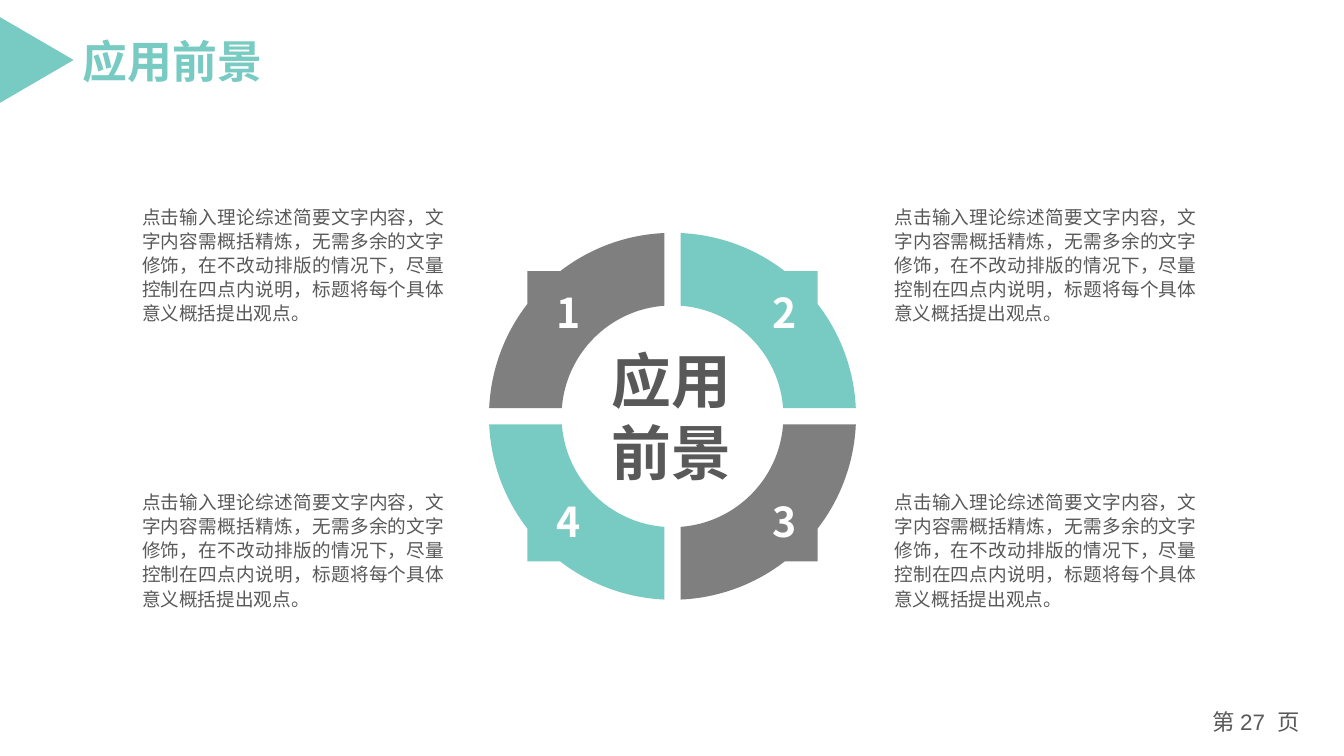
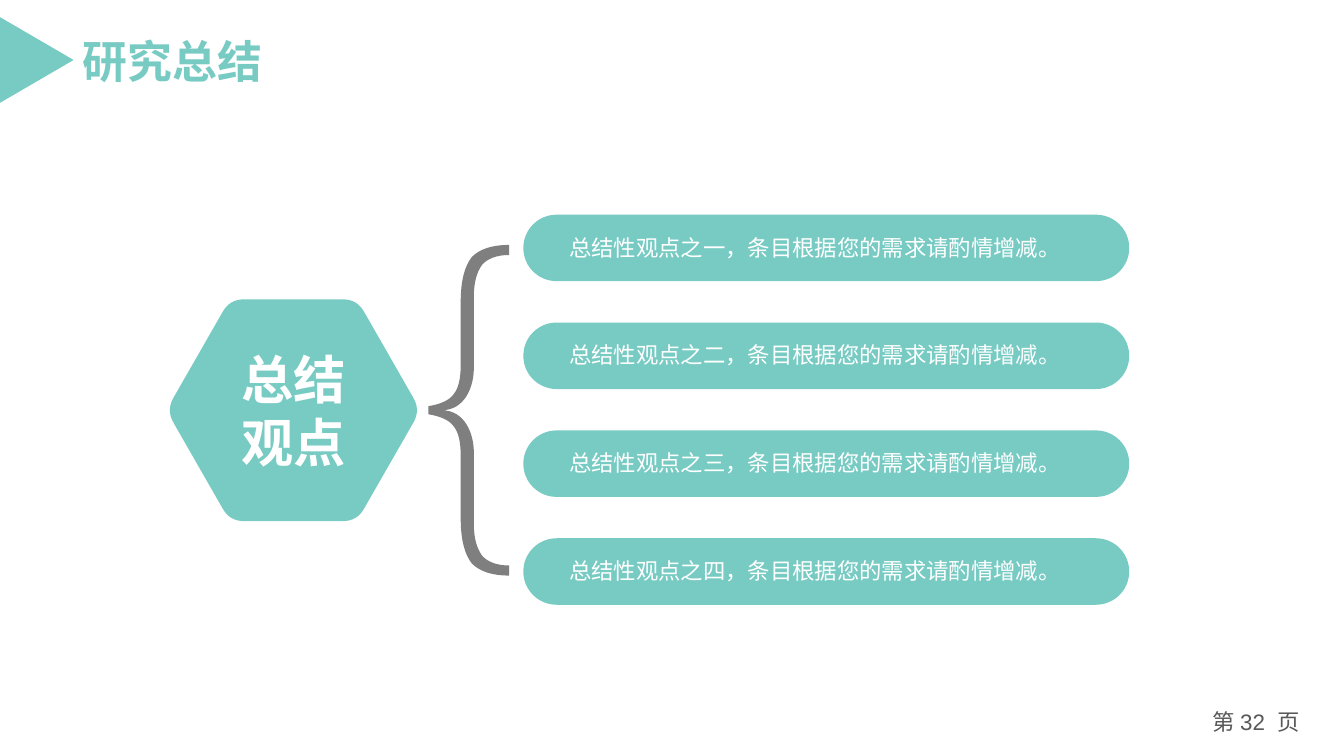
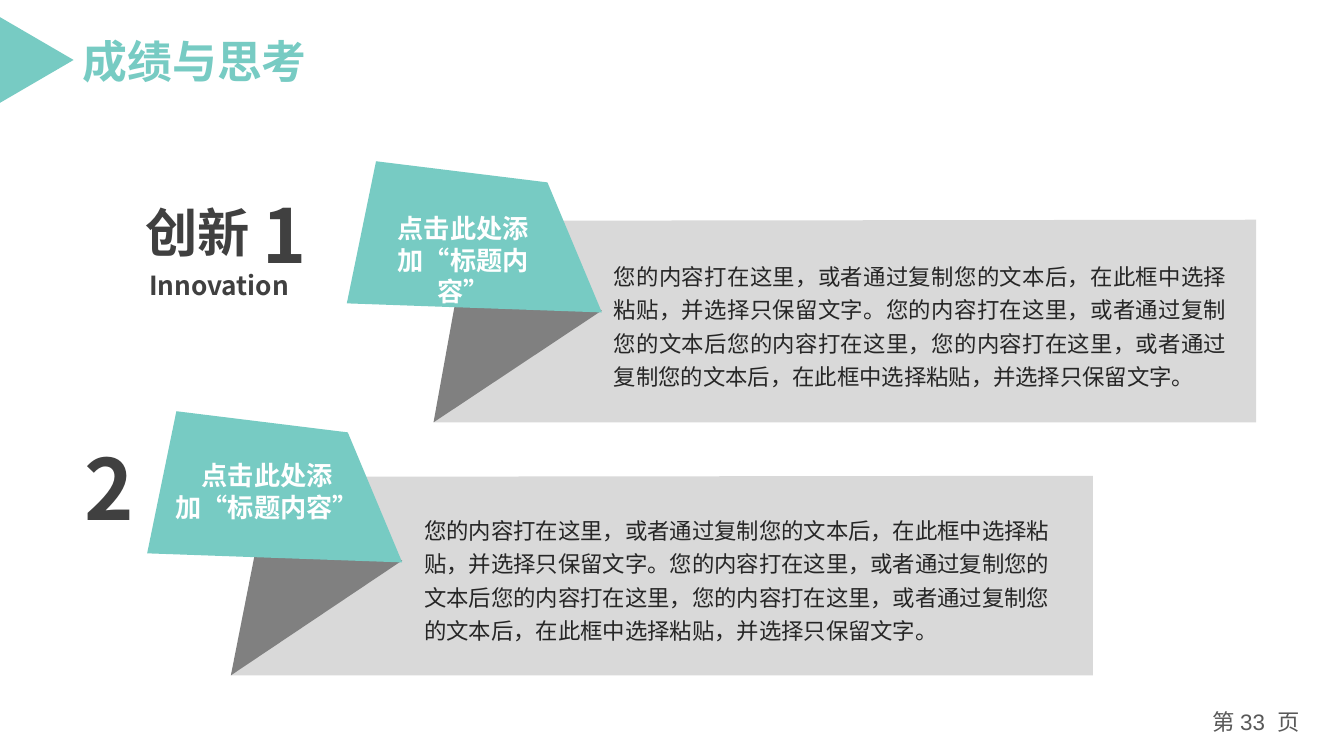
from math import atan2, hypot, sqrt, tan

from lxml.etree import SubElement
from pptx import Presentation
from pptx.dml.color import RGBColor
from pptx.enum.shapes import MSO_SHAPE
from pptx.enum.text import MSO_ANCHOR, MSO_AUTO_SIZE, PP_ALIGN
from pptx.oxml.ns import qn
from pptx.util import Inches, Pt

TEAL = RGBColor(0x77, 0xCB, 0xC3)
GRAY = RGBColor(0x7F, 0x7F, 0x7F)
FOLD_GRAY = RGBColor(0x80, 0x80, 0x80)
PANEL_GRAY = RGBColor(0xD9, 0xD9, 0xD9)
TEXT_GRAY = RGBColor(0x59, 0x59, 0x59)
LABEL_GRAY = RGBColor(0x40, 0x40, 0x40)
BODY_DARK = RGBColor(0x26, 0x26, 0x26)
WHITE = RGBColor(0xFF, 0xFF, 0xFF)
CHINESE_FONT = "Noto Sans CJK SC"
LATIN_FONT = "Arial"
TITLE_ONLY_LAYOUT = 5

VIEWPOINT = (
    "点击输入理论综述简要文字内容，文字内容需概括精炼，无需多余的文字修饰，"
    "在不改动排版的情况下，尽量控制在四点内说明，标题将每个具体意义概括提出观点。"
)
RIBBON_HEADING = "点击此处添加“标题内容”"
RIBBON_BODY = (
    "您的内容打在这里，或者通过复制您的文本后，在此框中选择粘贴，并选择只保留文字。"
    "您的内容打在这里，或者通过复制您的文本后您的内容打在这里，您的内容打在这里，"
    "或者通过复制您的文本后，在此框中选择粘贴，并选择只保留文字。"
)
# Upper half of the brace, from its tip outwards and back to the middle.
# A segment of one point is a line, a segment of three points is a Bézier curve.
BRACE_HALF = [
    [(0, 1.6)],
    [(0.12, 1.58), (0.21, 1.54), (0.25, 1.48)],
    [(0.3, 1.42), (0.32, 1.32), (0.32, 1.19)],
    [(0.32, 0.57)],
    [(0.32, 0.35), (0.36, 0.21), (0.43, 0.12)],
    [(0.51, 0.04), (0.63, 0), (0.8, 0)],
    [(0.8, 0.1)],
    [(0.67, 0.1), (0.58, 0.14), (0.53, 0.2)],
    [(0.48, 0.27), (0.45, 0.37), (0.45, 0.51)],
    [(0.45, 1.22)],
    [(0.45, 1.41), (0.36, 1.64), (0.13, 1.64)],
]


def style_run(run, size, color, bold=False, font=CHINESE_FONT):
    run.font.size = Pt(size)
    run.font.bold = bold
    run.font.color.rgb = color
    run.font.name = font
    east_asian = SubElement(run.font._element, qn("a:ea"))
    east_asian.set("typeface", CHINESE_FONT)


def fill_text(shape, text, size, color, bold=False, font=CHINESE_FONT,
              align=PP_ALIGN.LEFT, spacing=None, margins=None, wrap=True,
              anchor=MSO_ANCHOR.TOP):
    """Write one paragraph; margins are left, top, right and bottom in inches."""
    frame = shape.text_frame
    frame.text = text
    frame.word_wrap = wrap
    frame.auto_size = MSO_AUTO_SIZE.NONE
    frame.vertical_anchor = anchor
    if margins:
        (frame.margin_left, frame.margin_top,
         frame.margin_right, frame.margin_bottom) = map(Inches, margins)
    paragraph = frame.paragraphs[0]
    paragraph.alignment = align
    if spacing:
        paragraph.line_spacing = spacing
    for run in paragraph.runs:
        style_run(run, size, color, bold, font)


def add_text(slide, box, text, size, color, **options):
    shape = slide.shapes.add_textbox(*map(Inches, box))
    fill_text(shape, text, size, color, **options)


def paint(shape, color):
    shape.shadow.inherit = False
    shape.fill.solid()
    shape.fill.fore_color.rgb = color
    shape.line.fill.background()
    return shape


def add_outline(slide, left, top, segments, color):
    """Draw a closed outline of lines and curves relative to left and top."""
    points = [(Inches(left + x), Inches(top + y)) for segment in segments for x, y in segment]
    builder = slide.shapes.build_freeform(*points[0])
    builder.add_line_segments(points[1:], close=True)
    shape = builder.convert_to_shape()
    lines = iter(list(shape._element.iter(qn("a:lnTo"))))
    for segment in segments[1:]:
        curve, *extra_lines = [next(lines) for _ in segment]
        for line in extra_lines:
            curve.append(line[0])
            line.getparent().remove(line)
        if extra_lines:
            curve.tag = qn("a:cubicBezTo")
    return paint(shape, color)


def line_segments(*points):
    return [[point] for point in points]


def arc(start, end):
    """Curve segment on the circle around the origin that runs from start to end."""
    sweep = atan2(end[1], end[0]) - atan2(start[1], start[0])
    reach = 4 / 3 * tan(sweep / 4)
    return [(start[0] - reach * start[1], start[1] + reach * start[0]),
            (end[0] + reach * end[1], end[1] - reach * end[0]), end]


def rounded_polygon(corners, cut):
    segments = []
    for index, (x, y) in enumerate(corners):
        offsets = []
        for neighbour in (corners[index - 1], corners[(index + 1) % len(corners)]):
            dx, dy = neighbour[0] - x, neighbour[1] - y
            ratio = cut / hypot(dx, dy)
            offsets.append((dx * ratio, dy * ratio))
        (in_x, in_y), (out_x, out_y) = offsets
        segments += [[(x + in_x, y + in_y)],
                     [(x + in_x / 3, y + in_y / 3), (x + out_x / 3, y + out_y / 3),
                      (x + out_x, y + out_y)]]
    return segments


def start_slide(presentation, title, page):
    """Add a slide with its title, corner triangle and page number."""
    slide = presentation.slides.add_slide(presentation.slide_layouts[TITLE_ONLY_LAYOUT])
    heading = slide.shapes.title
    heading.left, heading.top = Inches(0.69), Inches(0.26)
    heading.width, heading.height = Inches(0.28 + 0.45 * len(title)), Inches(0.67)
    fill_text(heading, title, 32, TEAL, bold=True, font=LATIN_FONT, wrap=False,
              margins=(0.13, 0.07, 0.13, 0.07))

    triangle = slide.shapes.add_shape(
        MSO_SHAPE.ISOSCELES_TRIANGLE, *map(Inches, (-0.06, 0.23, 0.85, 0.73)))
    triangle.rotation = 90
    paint(triangle, TEAL)

    footer = slide.shapes.add_textbox(*map(Inches, (11.86, 6.98, 1.2, 0.4)))
    footer.text_frame.word_wrap = True
    paragraph = footer.text_frame.paragraphs[0]
    paragraph.alignment = PP_ALIGN.CENTER
    for text, font in (("第 ", CHINESE_FONT), (f"{page}  ", LATIN_FONT), ("页", CHINESE_FONT)):
        run = paragraph.add_run()
        run.text = text
        style_run(run, 16, TEXT_GRAY, font=font)
    return slide


def add_ring(slide, center_x, center_y, label):
    """Draw four numbered ring quarters with square tabs around a label."""
    outer, inner, half_gap, tab = 1.82, 1.1, 0.08, 1.44
    outer_end = sqrt(outer**2 - half_gap**2)
    inner_end = sqrt(inner**2 - half_gap**2)
    tab_start = sqrt(outer**2 - tab**2)
    quarter = [
        [(half_gap, outer_end)], arc((half_gap, outer_end), (tab_start, tab)),
        [(tab, tab)], [(tab, tab_start)], arc((tab, tab_start), (outer_end, half_gap)),
        [(inner_end, half_gap)], arc((inner_end, half_gap), (half_gap, inner_end)),
    ]
    quarters = [("1", -1, -1, GRAY), ("2", 1, -1, TEAL), ("3", 1, 1, GRAY), ("4", -1, 1, TEAL)]
    for number, side_x, side_y, color in quarters:
        segments = [[(x * side_x, y * side_y) for x, y in segment] for segment in quarter]
        add_outline(slide, center_x, center_y, segments, color)
        number_box = (center_x + 1.07 * side_x - 0.08, center_y + 1.04 * side_y - 0.24, 0.21, 0.49)
        add_text(slide, number_box, number, 29.3, WHITE, bold=True,
                 align=PP_ALIGN.CENTER, margins=(0, 0, 0, 0))
    add_text(slide, (center_x - 0.69, center_y - 0.72, 1.36, 1.44), label, 42.7, TEXT_GRAY,
             bold=True, align=PP_ALIGN.CENTER, margins=(0, 0, 0, 0))


def add_hexagon(slide, center_x, center_y, text):
    side, half_height = 1.26, 1.1
    corners = [(-side, 0), (-side / 2, -half_height), (side / 2, -half_height),
               (side, 0), (side / 2, half_height), (-side / 2, half_height)]
    hexagon = add_outline(slide, center_x, center_y, rounded_polygon(corners, 0.14), TEAL)
    fill_text(hexagon, text, 37.3, WHITE, bold=True, align=PP_ALIGN.CENTER,
              margins=(0.56, 0, 0.56, 0), anchor=MSO_ANCHOR.MIDDLE)


def add_brace(slide, left, top):
    """Draw the upper half, then the same segments mirrored and reversed."""
    axis = 1.64
    lower = []
    for previous, segment in reversed(list(zip(BRACE_HALF, BRACE_HALF[1:]))):
        backwards = segment[-2::-1] + previous[-1:]
        lower.append([(x, 2 * axis - y) for x, y in backwards])
    add_outline(slide, left, top, BRACE_HALF + lower, GRAY)


def add_pills(slide, left, top, texts):
    for index, text in enumerate(texts):
        pill = slide.shapes.add_shape(
            MSO_SHAPE.ROUNDED_RECTANGLE,
            *map(Inches, (left, top + 1.07 * index, 6.01, 0.66)))
        pill.adjustments[0] = 0.5
        paint(pill, TEAL)
        fill_text(pill, text, 16, WHITE, align=PP_ALIGN.JUSTIFY, spacing=Pt(17.3),
                  margins=(0.36, 0.01, 0.36, 0), anchor=MSO_ANCHOR.MIDDLE)


def add_ribbon(slide, left, top, panel, heading_box, body_box, body_align):
    """Draw a folded ribbon over a panel; all boxes are relative to left and top."""
    panel_left, panel_top, panel_right, panel_bottom = panel
    add_outline(slide, left, top, line_segments(
        (1.49, panel_top + 0.01), (panel_right, panel_top),
        (panel_right, panel_bottom), (panel_left, panel_bottom)), PANEL_GRAY)
    add_outline(slide, left, top, line_segments(
        (2.53, 1.48), (1.13, 1.1), (panel_left, panel_bottom)), FOLD_GRAY)
    add_outline(slide, left, top, line_segments(
        (0.29, 0), (1.99, 0.21), (2.53, 1.5), (0, 1.41)), TEAL)

    def placed(box):
        return (left + box[0], top + box[1], *box[2:])

    add_text(slide, placed(heading_box), RIBBON_HEADING, 18.7, WHITE, bold=True,
             align=PP_ALIGN.CENTER)
    add_text(slide, placed(body_box), RIBBON_BODY, 16, BODY_DARK,
             align=body_align, spacing=1.25)


def build_prospects(presentation):
    slide = start_slide(presentation, "应用前景", 27)
    for top in (2.02, 4.85):
        for left in (1.41, 8.87):
            add_text(slide, (left, top, 3, 1.19), VIEWPOINT, 13.3, TEXT_GRAY,
                     align=PP_ALIGN.JUSTIFY, spacing=Pt(17.3), margins=(0, 0, 0, 0))
    add_ring(slide, 6.67, 4.13, "应用前景")


def build_summary(presentation):
    slide = start_slide(presentation, "研究总结", 32)
    add_hexagon(slide, 2.91, 4.07, "总结观点")
    add_brace(slide, 4.25, 2.43)
    add_pills(slide, 5.19, 2.13,
              [f"总结性观点之{number}，条目根据您的需求请酌情增减。" for number in "一二三四"])


def build_achievements(presentation):
    slide = start_slide(presentation, "成绩与思考", 33)
    add_ribbon(slide, 3.44, 1.6, (0.86, 0.58, 9.02, 2.59), (0.19, 0.46, 1.93, 0.73),
               (2.55, 0.89, 6.28, 1.45), PP_ALIGN.JUSTIFY)
    add_ribbon(slide, 1.46, 4.08, (0.83, 0.64, 9.38, 2.62), (0.17, 0.43, 2.04, 0.73),
               (2.65, 0.93, 6.43, 1.45), PP_ALIGN.LEFT)
    labels = [
        ((1.34, 1.94, 1.25, 0.73), "创新", 37.3),
        ((1.38, 2.62, 1.63, 0.42), "Innovation", 18.7),
        ((2.51, 1.83, 0.66, 1), "1", 53.3),
        ((0.74, 4.28, 0.72, 1.11), "2", 60),
    ]
    for box, text, size in labels:
        add_text(slide, box, text, size, LABEL_GRAY, bold=True, wrap=False)


def main():
    presentation = Presentation()
    presentation.slide_width = Inches(13.33)
    presentation.slide_height = Inches(7.5)
    build_prospects(presentation)
    build_summary(presentation)
    build_achievements(presentation)
    presentation.save("out.pptx")


if __name__ == "__main__":
    main()
